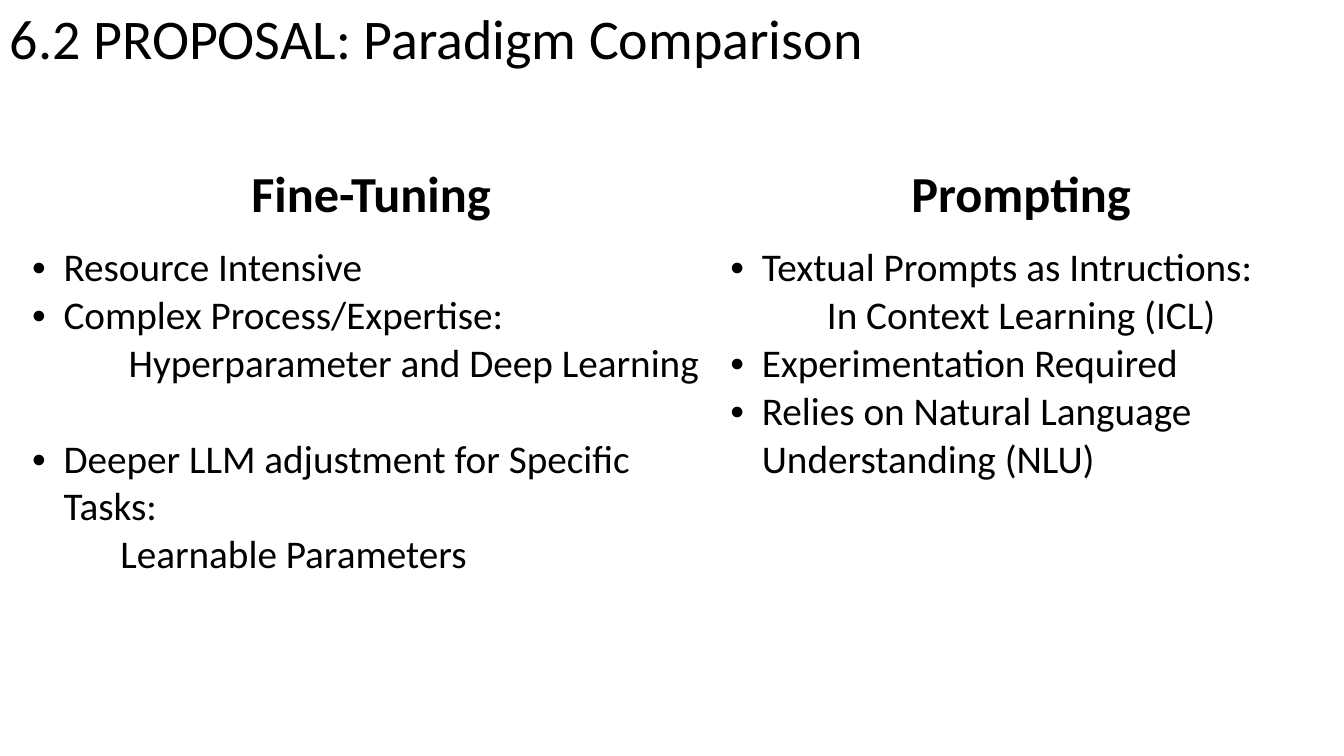
import dataclasses
import pptx
import pptx.util
import pptx.dml.color
import pptx.enum.text
import pptx.oxml
import pptx.oxml.ns

SCALE = 9525


@dataclasses.dataclass(frozen=True)
class Theme:
    font: str = "Calibri"
    ink: str = "000000"
    paper: str = "FFFFFF"
    title: int = 40
    head: int = 36
    body: int = 28


THEME = Theme()
HANG = 30
GAP = 34
COLUMNS = [
    (665, "Fine-Tuning", [
        ("Resource Intensive", 0, 0),
        ("Complex Process/Expertise:", 0, 0),
        ("Hyperparameter and Deep Learning", 92, GAP),
        ("Deeper LLM adjustment for Specific Tasks:", 0, 0),
        ("Learnable Parameters", 84, 0),
    ]),
    (573, "Prompting", [
        ("Textual Prompts as Intructions:", 0, 0),
        ("In Context Learning (ICL)", 92, 0),
        ("Experimentation Required", 0, 0),
        ("Relies on Natural Language Understanding (NLU)", 0, 0),
    ]),
]


def px(count):
    return pptx.util.Emu(count * SCALE)


def color(code):
    return pptx.dml.color.RGBColor.from_string(code)


def style(para, size, bold=False):
    font = para.font
    font.name = THEME.font
    font.size = pptx.util.Pt(size)
    font.bold = bold
    font.color.rgb = color(THEME.ink)


def indent(para, left, first=0):
    props = para._p.get_or_add_pPr()
    props.set("marL", str(px(left)))
    props.set("indent", str(px(first)))
    return props


def bullet(para):
    props = indent(para, HANG, -HANG)
    space = pptx.oxml.ns.nsdecls("a")
    for part in ('buFont %s typeface="Arial"', 'buChar %s char="•"'):
        props.append(pptx.oxml.parse_xml("<a:" + part % space + "/>"))


def title(slide, text, left, top, width, height):
    box = slide.shapes.add_textbox(px(left), px(top), px(width), px(height))
    frame = box.text_frame
    frame.word_wrap = True
    frame.vertical_anchor = pptx.enum.text.MSO_ANCHOR.MIDDLE
    para = frame.paragraphs[0]
    para.text = text
    para.line_spacing = 0.9
    style(para, THEME.title)


def paint(cell):
    cell.fill.solid()
    cell.fill.fore_color.rgb = color(THEME.paper)


def header(cell, text):
    paint(cell)
    cell.vertical_anchor = pptx.enum.text.MSO_ANCHOR.MIDDLE
    para = cell.text_frame.paragraphs[0]
    para.text = text
    para.alignment = pptx.enum.text.PP_ALIGN.CENTER
    style(para, THEME.head, True)


def points(cell, items):
    paint(cell)
    frame = cell.text_frame
    frame.text = "\n".join(text for text, left, after in items)
    for para, (text, left, after) in zip(frame.paragraphs, items):
        if left:
            indent(para, left)
        else:
            bullet(para)
        if after:
            para.space_after = pptx.util.Pt(after)
        style(para, THEME.body)


def compare(slide, left, top, width, height):
    table = slide.shapes.add_table(
        2, len(COLUMNS), px(left), px(top), px(width), px(height)).table
    table.horz_banding = False
    top_row = 84
    table.rows[0].height = px(top_row)
    table.rows[1].height = px(height - top_row)
    for col, (span, name, items) in enumerate(COLUMNS):
        table.columns[col].width = px(span)
        header(table.cell(0, col), name)
        points(table.cell(1, col), items)


def main():
    deck = pptx.Presentation()
    deck.slide_width, deck.slide_height = px(1280), px(720)
    slide = deck.slides.add_slide(deck.slide_layouts[6])
    title(slide, "6.2 PROPOSAL: Paradigm Comparison", 0, 0, 1104, 78)
    compare(slide, 21, 144, sum(col[0] for col in COLUMNS), 405)
    deck.save("out.pptx")


if __name__ == "__main__":
    main()
